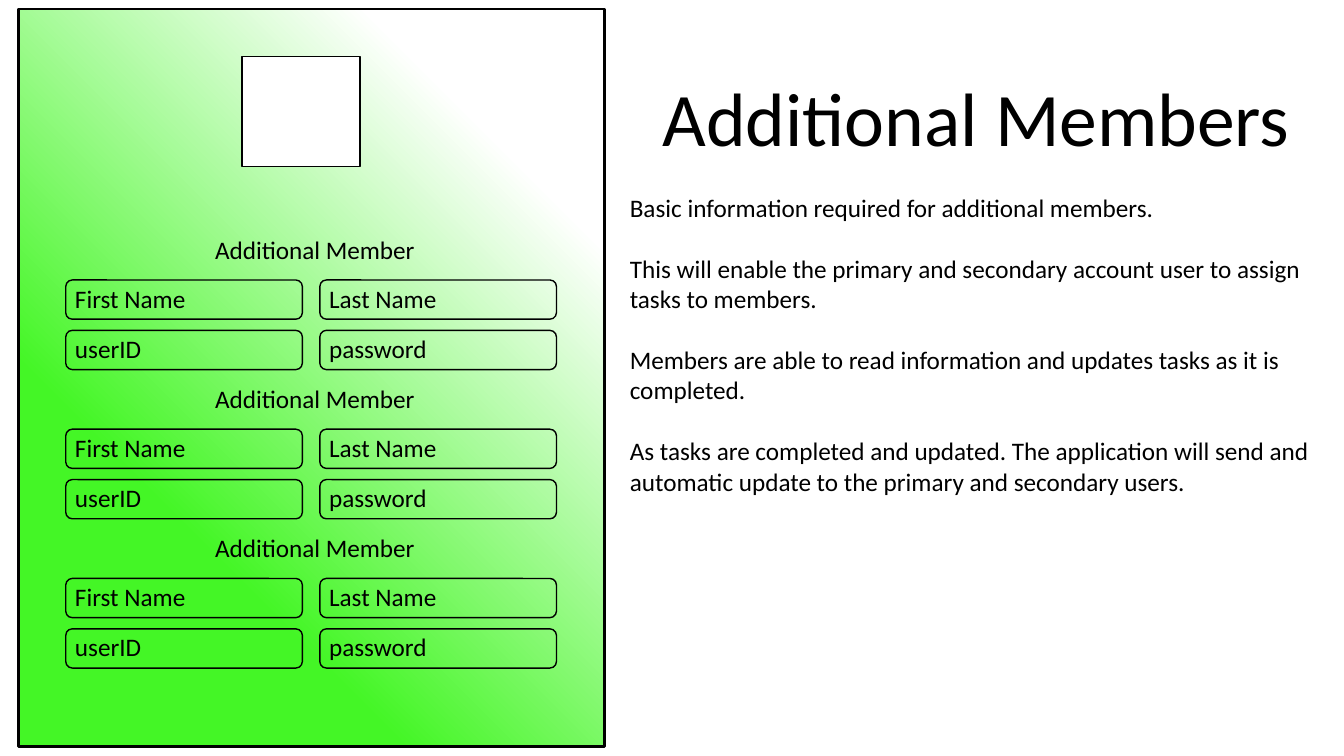
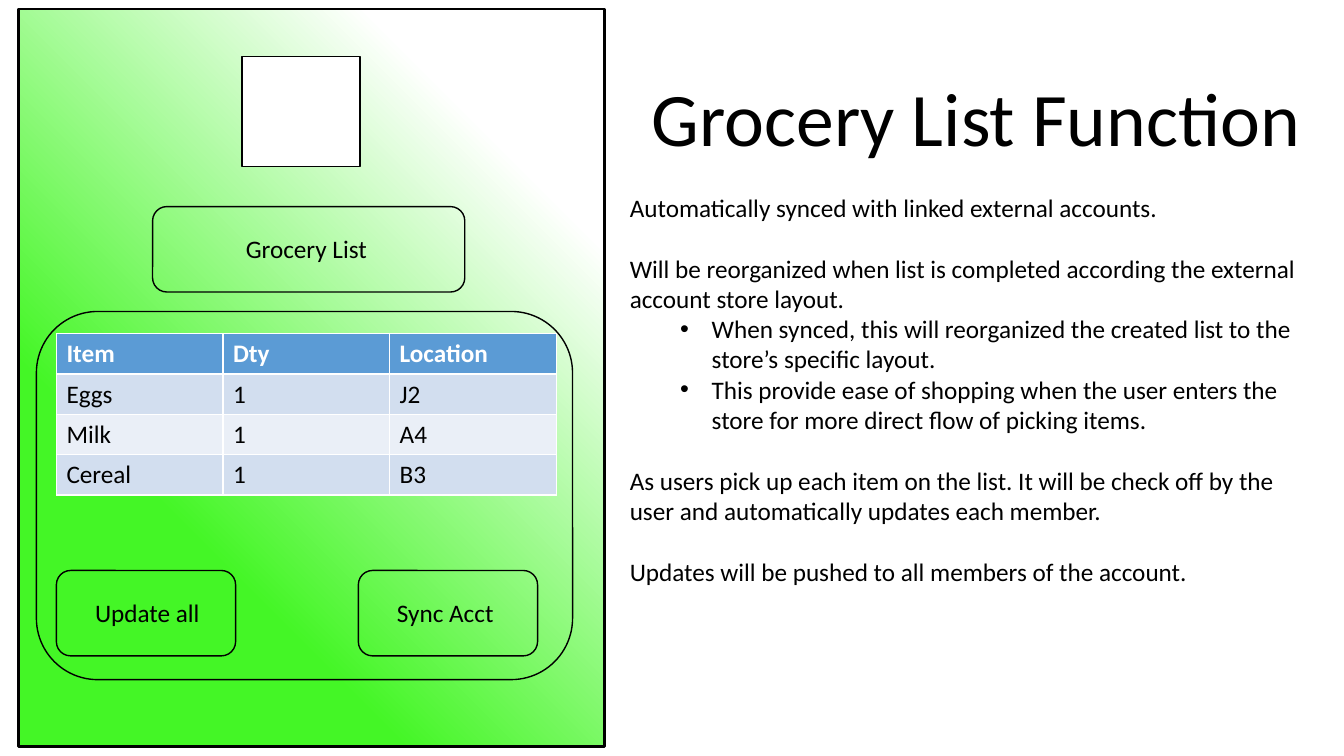
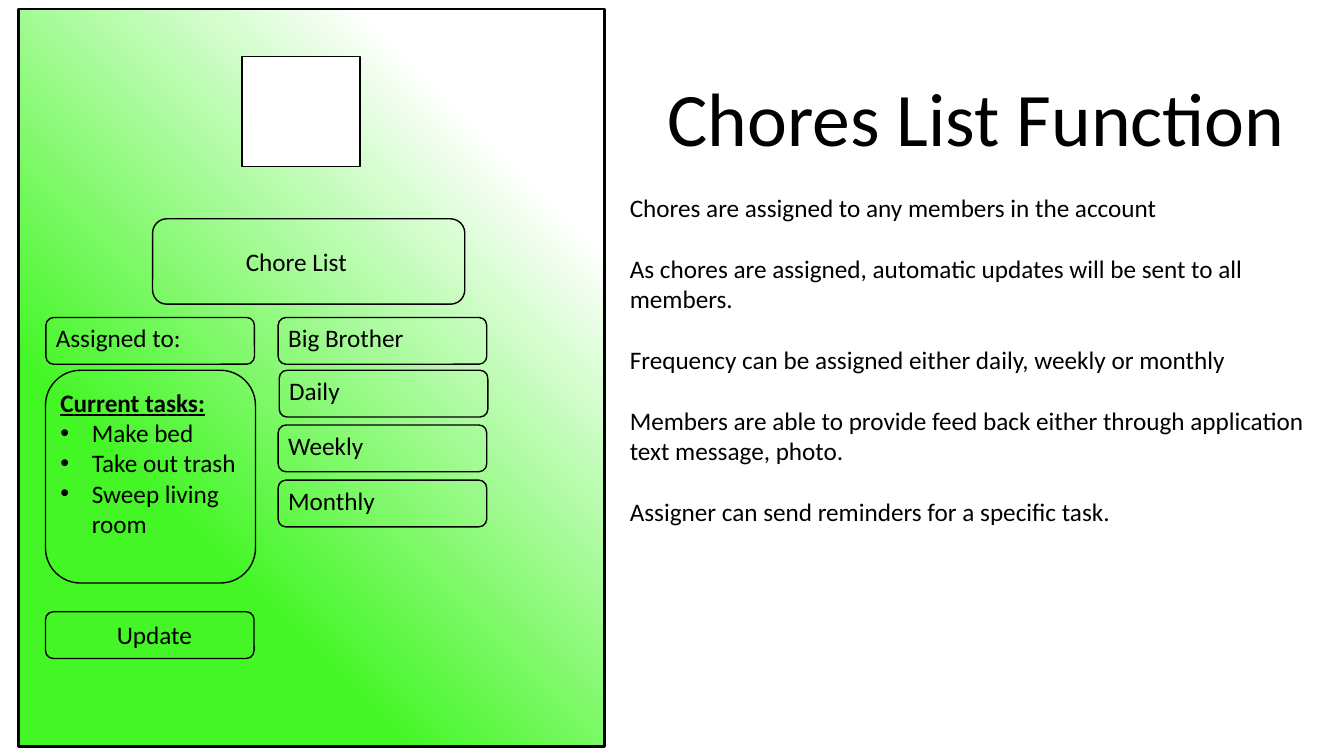
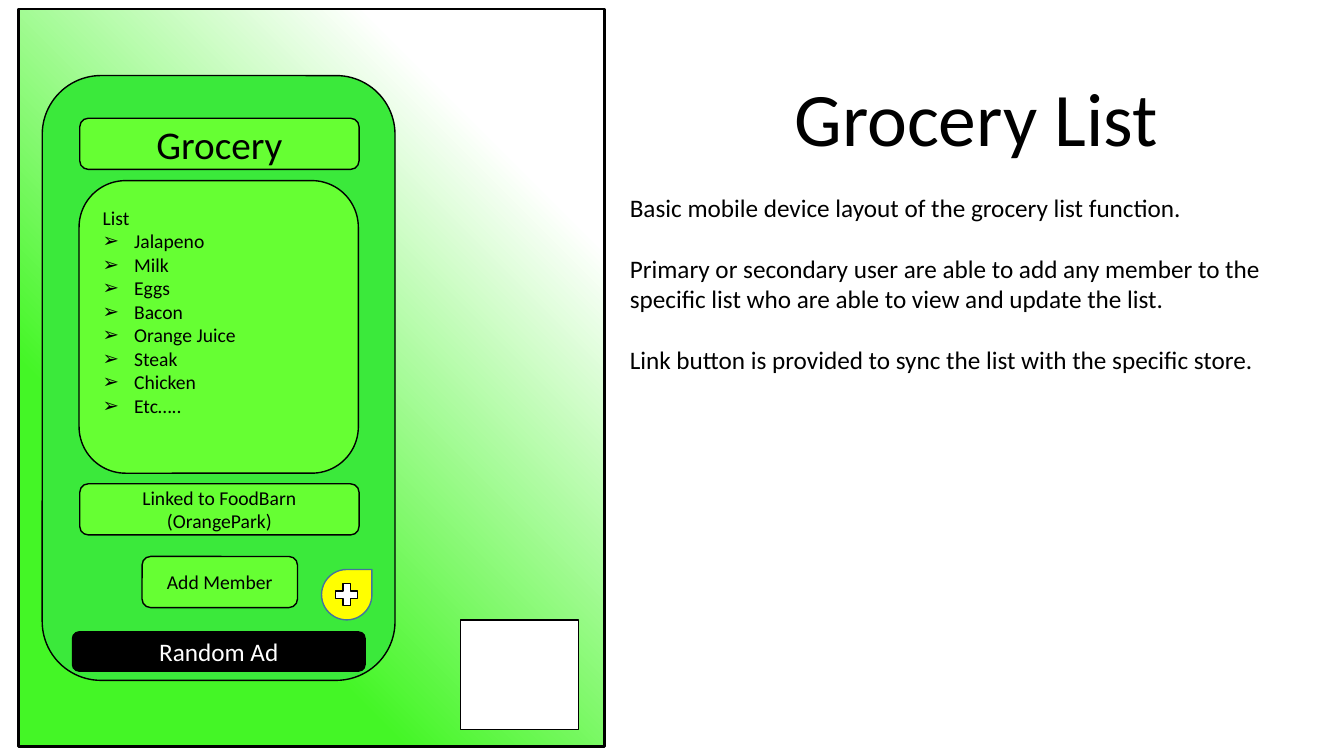
from pptx import Presentation
from pptx.dml.color import RGBColor
from pptx.enum import shapes, text
from pptx.oxml import ns, parse_xml
from pptx.util import Pt

# Shared colours, shapes and text styles
BLACK = RGBColor(0x00, 0x00, 0x00)
WHITE = RGBColor(0xFF, 0xFF, 0xFF)
GREEN = RGBColor(0x44, 0xF6, 0x26)
PHONE_GREEN = RGBColor(0x3B, 0xE9, 0x3B)
BUTTON_GREEN = RGBColor(0x66, 0xFF, 0x33)
YELLOW = RGBColor(0xFF, 0xFF, 0x00)
DROP_BLUE = RGBColor(0x43, 0x73, 0x9E)
HEADER_BLUE = RGBColor(0x5B, 0x9B, 0xD5)
BAND_DARK = RGBColor(0xD2, 0xDE, 0xEF)
BAND_LIGHT = RGBColor(0xEA, 0xEF, 0xF7)

RECT = shapes.MSO_SHAPE.RECTANGLE
ROUND = shapes.MSO_SHAPE.ROUNDED_RECTANGLE
TEARDROP = shapes.MSO_SHAPE.TEAR
PLUS = shapes.MSO_SHAPE.MATH_PLUS
LEFT, CENTER = text.PP_ALIGN.LEFT, text.PP_ALIGN.CENTER
HANG = 22.5  # bullet hanging indent
LINE = 22    # height of one body line

TITLE = {"size": Pt(54)}
BUTTON = {"size": Pt(14)}


class Wireframes:
    """Draws app screens on the left and their explanation on the right."""

    base = {"name": "Calibri", "size": Pt(18), "bold": False, "underline": False}

    def __init__(self):
        self.deck = Presentation()
        self.deck.slide_width, self.deck.slide_height = Pt(960), Pt(540)
        self.page = None

    def new_page(self, title, notes, logo=(172.8, 40.3)):
        self.page = self.deck.slides.add_slide(self.deck.slide_layouts[6])
        self.panel()
        self.shape(RECT, (*logo, 84.4, 78.5), fill=WHITE)
        self.explanation(title, notes)

    def fill_text(self, frame, lines, align=LEFT, color=BLACK, **style):
        """Each line is a string or a (string, line options) pair."""
        frame.word_wrap = True
        for index, line in enumerate(lines):
            words, options = (line, {}) if isinstance(line, str) else line
            para = frame.paragraphs[0] if index == 0 else frame.add_paragraph()
            para.alignment = options.get("align", align)
            para.space_before = Pt(options.get("gap", 0))
            if "bullet" in options:
                self.bullet(para, options["bullet"], options.get("indent", HANG))
            span = para.add_run()
            span.text = words
            span.font.color.rgb = color
            for key, value in {**self.base, **style, **options.get("font", {})}.items():
                setattr(span.font, key, value)

    def bullet(self, para, mark, indent):
        props = para._p.get_or_add_pPr()
        props.set("marL", str(Pt(indent)))
        props.set("indent", str(-Pt(HANG)))
        for tag, key, value in (("buFont", "typeface", "Arial"), ("buChar", "char", mark)):
            props.append(parse_xml(f'<a:{tag} {ns.nsdecls("a")} {key}="{value}"/>'))

    def shape(self, kind, at, fill=None, line=BLACK, width=1):
        box = self.page.shapes.add_shape(kind, *map(Pt, at))
        box.shadow.inherit = False
        if fill is None:
            box.fill.background()
        else:
            box.fill.solid()
            box.fill.fore_color.rgb = fill
        box.line.color.rgb = line
        box.line.width = Pt(width)
        return box

    def panel(self):
        """Screen background: radial gradient from the top right corner."""
        box = self.shape(RECT, (13, 6.5, 419, 527), width=2)
        box.fill.gradient()
        stops = "".join(
            f'<a:gs pos="{percent * 1000}"><a:srgbClr val="{color}"/></a:gs>'
            for percent, color in ((17, WHITE), (18, WHITE), (71, GREEN)))
        gradient = parse_xml(
            f'<a:gradFill {ns.nsdecls("a")} rotWithShape="1"><a:gsLst>{stops}</a:gsLst>'
            '<a:path path="circle"><a:fillToRect l="100000" b="100000"/></a:path>'
            '</a:gradFill>')
        props = box._element.spPr
        props.replace(props.find(ns.qn("a:gradFill")), gradient)

    def label(self, at, lines, **style):
        box = self.page.shapes.add_textbox(*map(Pt, at))
        self.fill_text(box.text_frame, lines, **style)

    def explanation(self, title, notes):
        heading = (title, {"align": CENTER, "font": TITLE})
        body = [(note, {"gap": LINE}) if isinstance(note, str) else note for note in notes]
        self.label((442.8, 46.8, 509, 320), [heading, *body])

    def field(self, words, at, offset=(0, 0)):
        """Outlined field whose label starts at an offset from its corner."""
        left, top, width, height = at
        self.shape(ROUND, at)
        self.label((left + offset[0], top + offset[1], width - offset[0], 29), [words])

    def button(self, lines, at, fill=BUTTON_GREEN, align=CENTER, bottom=3.6, **style):
        frame = self.shape(ROUND, at, fill).text_frame
        frame.vertical_anchor = text.MSO_ANCHOR.MIDDLE
        frame.margin_bottom = Pt(bottom)
        self.fill_text(frame, lines, align=align, **style)

    def table(self, at, rows):
        holder = self.page.shapes.add_table(len(rows), len(rows[0]), *map(Pt, at))
        for r, row in enumerate(rows):
            for c, words in enumerate(row):
                cell = holder.table.cell(r, c)
                cell.fill.solid()
                cell.fill.fore_color.rgb = (
                    HEADER_BLUE if r == 0 else BAND_DARK if r % 2 else BAND_LIGHT)
                self.fill_text(cell.text_frame, [words], bold=r == 0,
                               color=BLACK if r else WHITE)


app = Wireframes()

# Slide 1: additional members
app.new_page("Additional Members", [
    "Basic information required for additional members.",
    "This will enable the primary and secondary account user to assign tasks to members.",
    "Members are able to read information and updates tasks as it is completed.",
    "As tasks are completed and updated. The application will send and automatic update "
    "to the primary and secondary users.",
])
member_fields = (("First Name", "Last Name"), ("userID", "password"))
for member in range(3):
    top = 200 + 106.6 * member
    app.label((146.5, top - 36.5, 165, 29), ["Additional Member"])
    for r, row in enumerate(member_fields):
        for c, words in enumerate(row):
            app.field(words, (47 + 181.5 * c, top + 36 * r, 169, 28), (-0.5, -1.5))

# Slide 2: grocery list function
sub_point = {"bullet": "•", "indent": 58.5}
app.new_page("Grocery List Function", [
    "Automatically synced with linked external accounts.",
    "Will be reorganized when list is completed according the external account store layout.",
    ("When synced, this will reorganized the created list to the store’s specific layout.",
     sub_point),
    ("This provide ease of shopping when the user enters the store for more direct flow "
     "of picking items.", sub_point),
    "As users pick up each item on the list. It will be check off by the user and "
    "automatically updates each member.",
    "Updates will be pushed to all members of the account.",
])
app.field("Grocery List", (109, 147.6, 223, 61), (59.5, 15.8))
app.shape(ROUND, (26, 222.5, 383, 263))
app.table((40.3, 238.3, 357, 115.2), [
    ("Item", "Dty", "Location"),
    ("Eggs", "1", "J2"),
    ("Milk", "1", "A4"),
    ("Cereal", "1", "B3"),
])
for words, left in (("Update all", 40.3), ("Sync Acct", 256)):
    app.field(words, (left, 407.5, 128, 61), (20.5, 15.8))

# Slide 3: chores list function
app.new_page("Chores List Function", [
    "Chores are assigned to any members in the account",
    "As chores are assigned, automatic updates will be sent to all members.",
    "Frequency can be assigned either daily, weekly or monthly",
    "Members are able to provide feed back either through application text message, photo.",
    "Assigner can send reminders for a specific task.",
])
app.field("Chore List", (109, 156.3, 223, 61), (59.5, 15.8))
for words, left, top in (
        ("Assigned to:", 32.8, 226.8), ("Big Brother", 198.7, 226.8),
        ("Daily", 199.5, 264.5), ("Weekly", 198.7, 303.6), ("Monthly", 198.7, 343)):
    app.field(words, (left, top, 149, 33.4))
app.shape(ROUND, (32.5, 264.5, 150, 152))
tasks = ("Make bed", "Take out trash", "Sweep living room")
app.label((36, 273, 146, 117), [
    ("Current tasks:", {"font": {"bold": True, "underline": True}}),
    *((task, {"bullet": "•"}) for task in tasks),
])
app.field("Update", (32.5, 437, 149, 33.4), (43.9, 2))

# Slide 4: grocery list on a phone
app.new_page("Grocery List", [
    "Basic mobile device layout of the grocery list function.",
    "Primary or secondary user are able to add any member to the specific list who are "
    "able to view and update the list.",
    "Link button is provided to sync the list with the specific store.",
], logo=(329, 442.8))
app.shape(ROUND, (30.2, 54, 252, 432), PHONE_GREEN)
app.button(["Grocery"], (57, 84.5, 199.5, 36.5), size=Pt(28))
groceries = ("Jalapeno", "Milk", "Eggs", "Bacon", "Orange Juice", "Steak", "Chicken", "Etc…..")
app.button(["List", *((item, {"bullet": "➢"}) for item in groceries)],
           (56.5, 129, 199.5, 209), align=LEFT, bottom=25.6, **BUTTON)
app.button(["Linked to FoodBarn (OrangePark)"], (57, 345.6, 199.5, 36.5), **BUTTON)
app.button(["Add Member"], (101.5, 397.5, 111, 36.5), **BUTTON)
app.shape(TEARDROP, (229.7, 406.8, 36, 36), YELLOW, DROP_BLUE)
app.shape(PLUS, (236.9, 414, 21.6, 21.6), WHITE)
app.button(["Random Ad"], (51.8, 451.4, 209, 28), fill=BLACK, color=WHITE)

app.deck.save("out.pptx")
